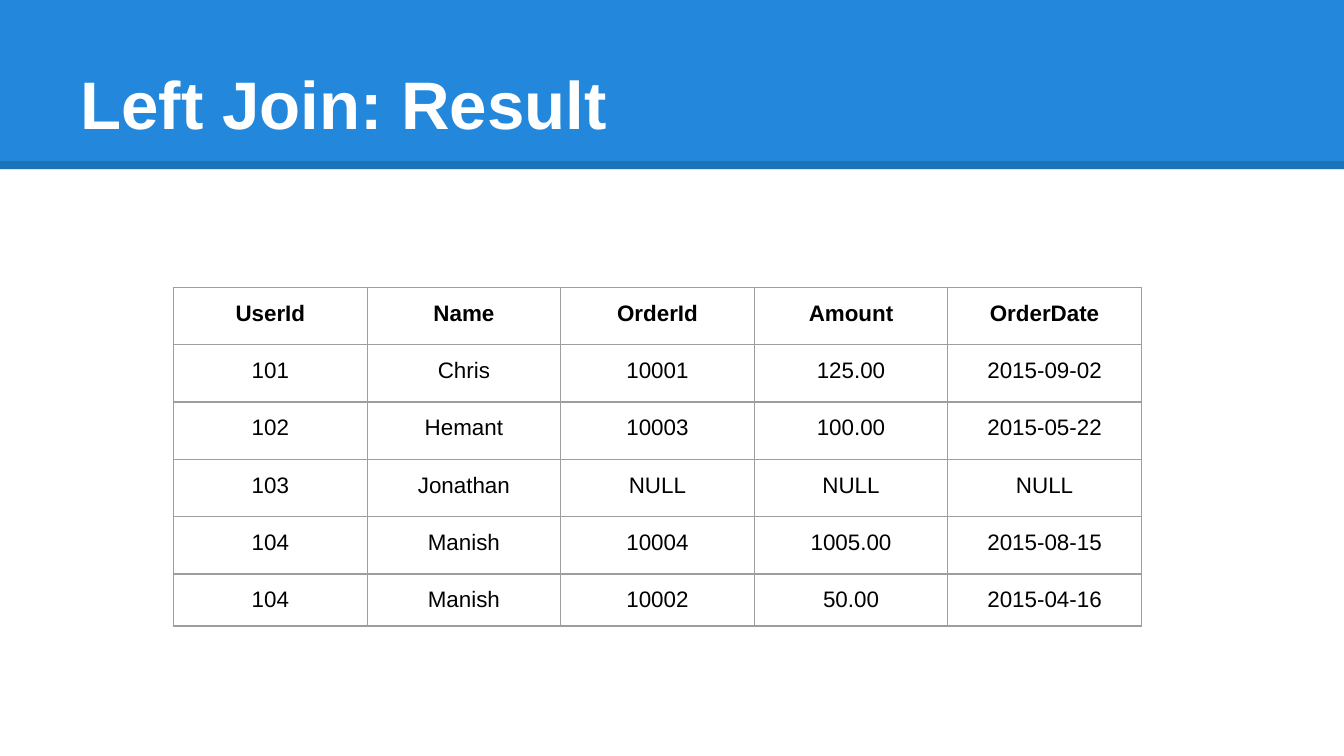
from lxml import etree
from pptx import Presentation
from pptx.dml.color import RGBColor
from pptx.enum.shapes import MSO_CONNECTOR, MSO_SHAPE
from pptx.enum.text import MSO_ANCHOR, PP_ALIGN
from pptx.oxml.ns import qn
from pptx.util import Pt

RECT = MSO_SHAPE.RECTANGLE
STRAIGHT = MSO_CONNECTOR.STRAIGHT
BOTTOM, TOP = MSO_ANCHOR.BOTTOM, MSO_ANCHOR.TOP
LEFT, CENTER = PP_ALIGN.LEFT, PP_ALIGN.CENTER

WIDTH, HEIGHT = 720, 405
INSET = 7.2
HEX = {"band": "2388DB", "rule": "000000", "title": "FFFFFF",
       "text": "000000", "grid": "9E9E9E"}
ROWS = [
    ["UserId", "Name", "OrderId", "Amount", "OrderDate"],
    ["101", "Chris", "10001", "125.00", "2015-09-02"],
    ["102", "Hemant", "10003", "100.00", "2015-05-22"],
    ["103", "Jonathan", "NULL", "NULL", "NULL"],
    ["104", "Manish", "10004", "1005.00", "2015-08-15"],
    ["104", "Manish", "10002", "50.00", "2015-04-16"],
]


class Deck:
    def __init__(self, slide, font="Arial"):
        self.slide = slide
        self.font = font

    def color(self, key):
        return RGBColor.from_string(HEX[key])

    def label(self, frame, text, size, key, bold, align):
        para = frame.paragraphs[0]
        para.alignment = align
        run = para.add_run()
        run.text = text
        run.font.name = self.font
        run.font.size = Pt(size)
        run.font.bold = bold
        run.font.color.rgb = self.color(key)

    def pad(self, box):
        box.margin_left = box.margin_right = Pt(INSET)
        box.margin_top = box.margin_bottom = Pt(INSET)

    def band(self, x, y, w, h):
        band = self.slide.shapes.add_shape(RECT, Pt(x), Pt(y), Pt(w), Pt(h))
        band.shadow.inherit = False
        band.fill.solid()
        band.fill.fore_color.rgb = self.color("band")
        band.line.fill.background()

    def rule(self, x, y, end, width, alpha):
        rule = self.slide.shapes.add_connector(
            STRAIGHT, Pt(x), Pt(y), Pt(end), Pt(y))
        rule.line.width = Pt(width)
        rule.line.color.rgb = self.color("rule")
        props = rule.element.find(qn("p:spPr"))
        tint = props.find(".//" + qn("a:srgbClr"))
        etree.SubElement(tint, qn("a:alpha"), val=str(alpha * 1000))
        etree.SubElement(props, qn("a:effectLst"))

    def title(self, text, x, y, w, h):
        title = self.slide.shapes.title
        title.left, title.top = Pt(x), Pt(y)
        title.width, title.height = Pt(w), Pt(h)
        frame = title.text_frame
        frame.word_wrap = True
        frame.vertical_anchor = BOTTOM
        self.pad(frame)
        self.label(frame, text, 36, "title", True, LEFT)
        title.element.getparent().append(title.element)

    def border(self, props):
        for place, side in enumerate(("lnL", "lnR", "lnT", "lnB")):
            line = etree.Element(qn("a:" + side), w=str(Pt(0.75)))
            fill = etree.SubElement(line, qn("a:solidFill"))
            etree.SubElement(fill, qn("a:srgbClr"), val=HEX["grid"])
            props.insert(place, line)

    def table(self, rows, x, y, wide, highs):
        count = len(rows[0])
        frame = self.slide.shapes.add_table(
            len(rows), count, Pt(x), Pt(y),
            Pt(wide * count), Pt(sum(highs)))
        table = frame.table
        table.horz_banding = False
        for col in table.columns:
            col.width = Pt(wide)
        for r, (row, high) in enumerate(zip(rows, highs)):
            table.rows[r].height = Pt(high)
            for c, text in enumerate(row):
                cell = table.cell(r, c)
                cell.fill.background()
                cell.vertical_anchor = TOP
                self.pad(cell)
                self.label(cell.text_frame, text, 12, "text", r == 0, CENTER)
        for props in frame.element.iter(qn("a:tcPr")):
            self.border(props)


def main():
    show = Presentation()
    show.slide_width, show.slide_height = Pt(WIDTH), Pt(HEIGHT)
    deck = Deck(show.slides.add_slide(show.slide_layouts[5]))
    deck.band(0, 0, WIDTH, 90.6)
    deck.rule(0, 88.5, WIDTH, 4.5, 14)
    deck.title("Left Join: Result", 36, 16.5, 648, 67.5)
    highs = [30.72] * (len(ROWS) - 1) + [11.5]
    deck.table(ROWS, 93, 154, 103.7, highs)
    show.save("out.pptx")


if __name__ == "__main__":
    main()
